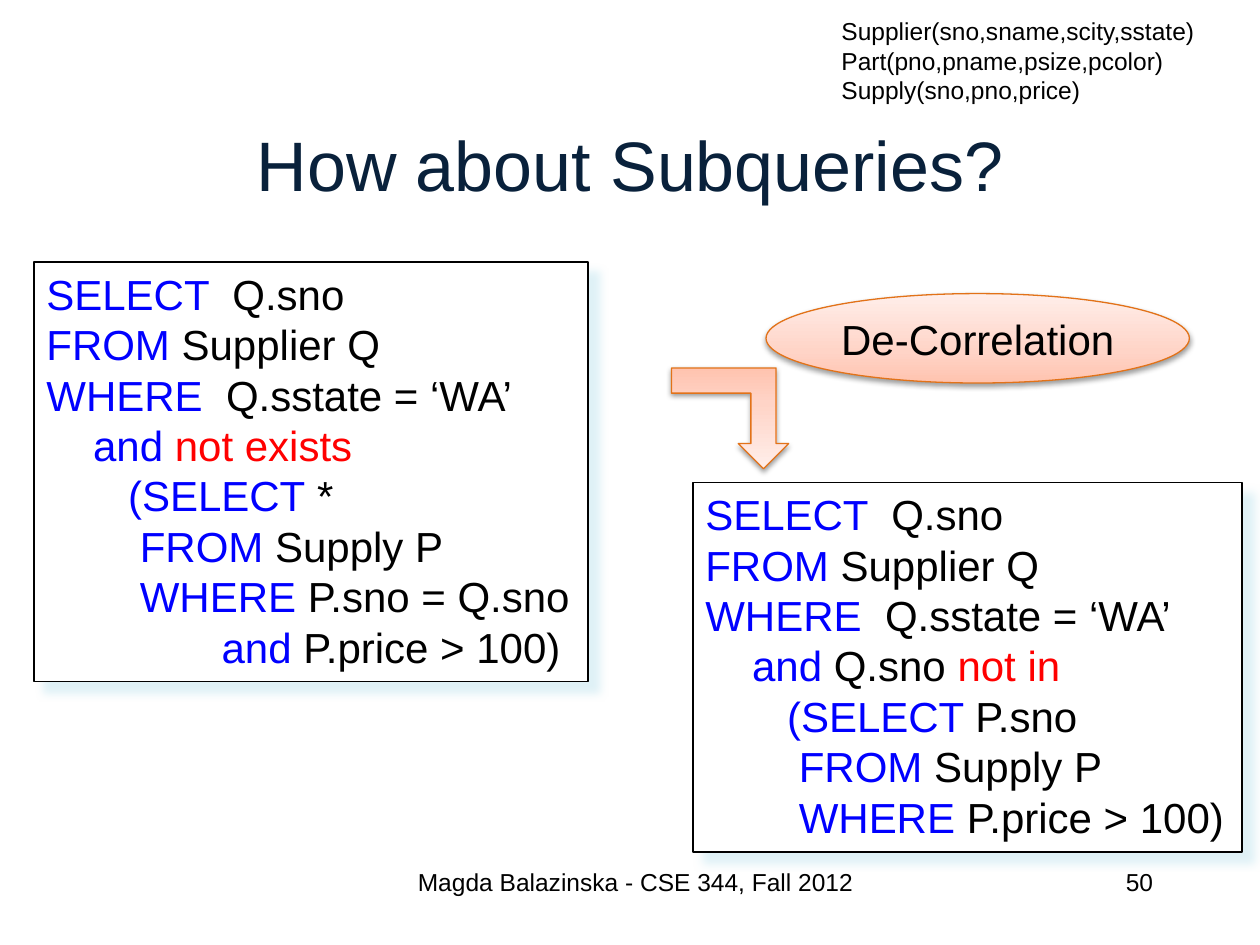
from copy import deepcopy
from lxml import etree
from pptx import Presentation
from pptx.dml.color import RGBColor
from pptx.enum.shapes import MSO_SHAPE
from pptx.enum.text import MSO_ANCHOR, PP_ALIGN
from pptx.oxml.ns import qn
from pptx.util import Inches, Pt

LEFT, CENTER, RIGHT = PP_ALIGN.LEFT, PP_ALIGN.CENTER, PP_ALIGN.RIGHT
TOP, MIDDLE = MSO_ANCHOR.TOP, MSO_ANCHOR.MIDDLE
RECT, OVAL = MSO_SHAPE.RECTANGLE, MSO_SHAPE.FLOWCHART_CONNECTOR
BENT_ARROW = MSO_SHAPE.BENT_UP_ARROW

COLORS = {"text": "000000", "title": "09213B", "keyword": "0000FF",
          "negation": "FF0000", "paper": "FFFFFF", "accent_line": "E27218",
          "code_shadow": "D5EDF4"}
PEACH = [(0, "FFC3AF"), (0.35, "FFD4C7"), (1, "FFEEEA")]
FONT = "Arial"
INDENT_STEP = 0.0927  # width of one code column at 24 pt, inches

# Content: lines are a string, or (indent columns, [(text, colour name), ...])
TITLE = "How about Subqueries?"
SCHEMA = ["Supplier(sno,sname,scity,sstate)", "Part(pno,pname,psize,pcolor)",
          "Supply(sno,pno,price)"]
FOOTER, PAGE = "Magda Balazinska - CSE 344, Fall 2012", "50"
STEP_NAME = "De-Correlation"

QUERY_HEAD = [
    (0, [("SELECT  ", "keyword"), ("Q.sno", "text")]),
    (0, [("FROM", "keyword"), (" Supplier Q", "text")]),
    (0, [("WHERE  ", "keyword"), ("Q.sstate = ‘WA’", "text")]),
]
SUBQUERY_FROM = (8, [("FROM", "keyword"), (" Supply P", "text")])
CORRELATED = QUERY_HEAD + [
    (4, [("and ", "keyword"), ("not exists", "negation")]),
    (7, [("(SELECT", "keyword"), (" *", "text")]),
    SUBQUERY_FROM,
    (8, [("WHERE ", "keyword"), ("P.sno = Q.sno", "text")]),
    (15, [("and ", "keyword"), ("P.price > 100)", "text")]),
]
DECORRELATED = QUERY_HEAD + [
    (4, [("and ", "keyword"), ("Q.sno ", "text"), ("not in", "negation")]),
    (7, [("(SELECT ", "keyword"), ("P.sno", "text")]),
    SUBQUERY_FROM,
    (8, [("WHERE ", "keyword"), ("P.price > 100)", "text")]),
]
QUERIES = [(CORRELATED, (0.27, 2.08, 4.4, 3.33)),
           (DECORRELATED, (5.5, 3.83, 4.36, 2.93))]
CODE_SHADOW = ("code_shadow", 75, 5, 8.5, 45)  # colour, alpha %, blur, distance, angle
ACCENT_SHADOW = ("text", 38, 3.1, 1.6, 90)

prs = Presentation()
prs.slide_width, prs.slide_height = Inches(10), Inches(7.5)
slide = prs.slides.add_slide(prs.slide_layouts[6])


def rgb(name):
    return RGBColor.from_string(COLORS[name])


def write(shape, lines, size=14, color="text", align=LEFT, anchor=TOP,
          wrap=True, right_inset=0.1):
    frame = shape.text_frame
    frame.word_wrap, frame.vertical_anchor = wrap, anchor
    frame.margin_right = Inches(right_inset)
    for i, line in enumerate(lines):
        columns, runs = (0, [(line, color)]) if isinstance(line, str) else line
        para = frame.paragraphs[0] if i == 0 else frame.add_paragraph()
        para.alignment = align
        if columns:
            para._p.get_or_add_pPr().set("marL", str(Inches(columns * INDENT_STEP)))
        for text, run_color in runs:
            run = para.add_run()
            run.text = text
            run.font.size, run.font.name = Pt(size), FONT
            run.font.color.rgb = rgb(run_color)


def text_box(box, lines, **style):
    write(slide.shapes.add_textbox(*map(Inches, box)), lines, **style)


def add_shadow(shape, color, alpha, blur, distance, angle):
    shape.shadow.inherit = False
    effects = shape._element.spPr.find(qn("a:effectLst"))
    outer = etree.SubElement(effects, qn("a:outerShdw"), blurRad=str(Pt(blur)),
                             dist=str(Pt(distance)), dir=str(angle * 60000),
                             algn="tl", rotWithShape="0")
    tint = etree.SubElement(outer, qn("a:srgbClr"), val=COLORS[color])
    etree.SubElement(tint, qn("a:alpha"), val=str(alpha * 1000))


def add_panel(kind, box, line, width, shadow):
    shape = slide.shapes.add_shape(kind, *map(Inches, box))
    shape.line.color.rgb, shape.line.width = rgb(line), Pt(width)
    add_shadow(shape, *shadow)
    return shape


def accent_shape(kind, box):
    shape = add_panel(kind, box, "accent_line", 0.75, ACCENT_SHADOW)
    shape.fill.gradient()
    shape.fill.gradient_angle = 90
    stop_list = shape._element.spPr.find(".//" + qn("a:gsLst"))
    while len(stop_list) < len(PEACH):
        stop_list.append(deepcopy(stop_list[0]))
    for stop, (position, color) in zip(shape.fill.gradient_stops, PEACH):
        stop.position, stop.color.rgb = position, RGBColor.from_string(color)
    return shape


# Footer, title and page number
text_box((3.17, 6.83, 3.75, 0.5), [FOOTER], align=CENTER)
text_box((0.75, 0.67, 8.5, 1.25), [TITLE], size=40, color="title",
         align=CENTER, anchor=MIDDLE)
text_box((7.17, 6.83, 2.08, 0.5), [PAGE], align=RIGHT)

# Query before and after the rewrite
for query, box in QUERIES:
    panel = add_panel(RECT, box, "text", 1, CODE_SHADOW)
    panel.fill.solid()
    panel.fill.fore_color.rgb = rgb("paper")
    write(panel, query, size=24, right_inset=0)

# Rewrite step: label and arrow turning down
step = accent_shape(OVAL, (6.08, 2.33, 3.36, 0.71))
write(step, [STEP_NAME], size=24, align=CENTER, anchor=MIDDLE, wrap=False)
arrow = accent_shape(BENT_ARROW, (5.33, 2.92, 0.93, 0.8))
arrow.rotation = 180
arrow._element.spPr.find(qn("a:xfrm")).set("flipH", "1")

# Relation schema
text_box((6.58, 0.08, 3.02, 0.81), SCHEMA, wrap=False)

prs.save("out.pptx")
